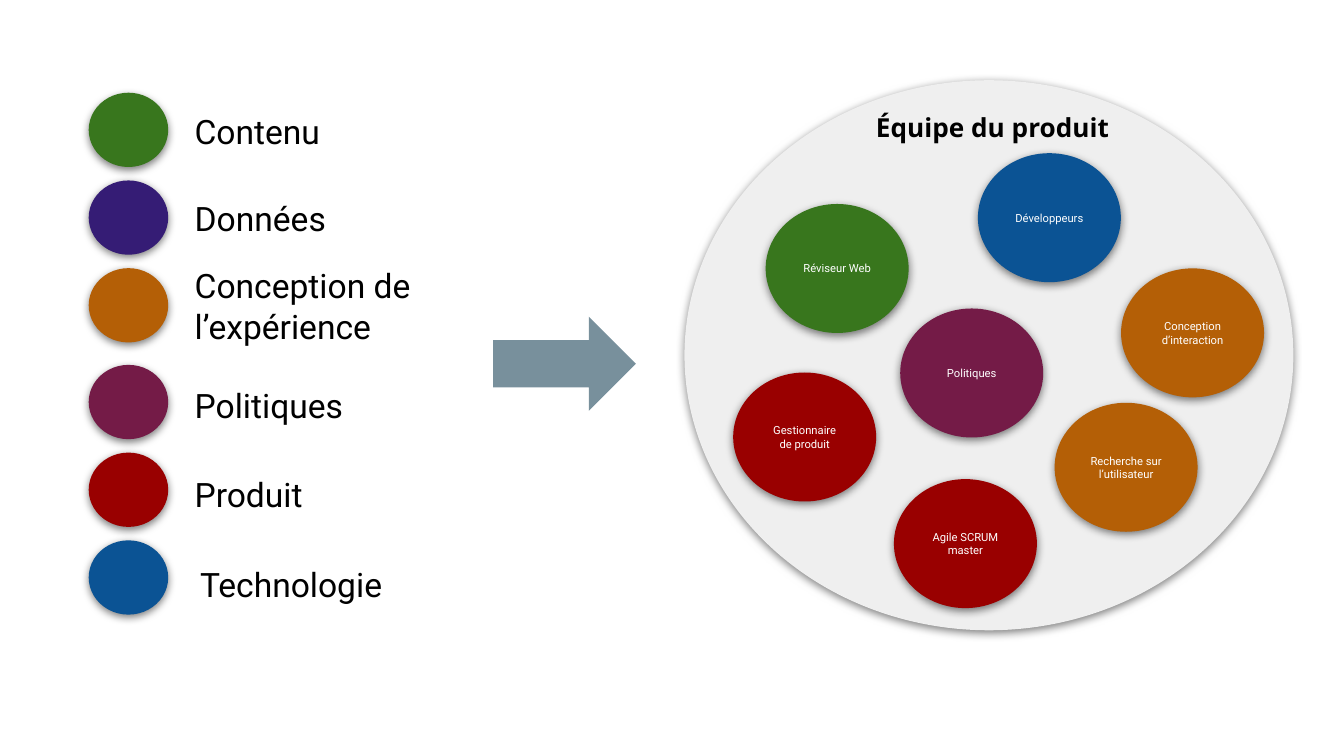
from lxml import etree
from pptx import Presentation
from pptx.dml.color import RGBColor
from pptx.enum import shapes, text
from pptx.oxml.ns import qn
from pptx.util import Pt

COLOURS = {
    "content": "38761D", "data": "351C75", "design": "B45F06",
    "policy": "741B47", "product": "990000", "technology": "0B5394",
    "team": "EFEFEF", "arrow": "78909C", "black": "000000", "white": "FFFFFF",
}

# Legend: label, colour, label left, label width, label top
LEGEND = [
    ("Contenu", "content", 97.2, 91.4, 55.4),
    ("Données", "data", 97.2, 104.4, 102.2),
    ("Conception de l’expérience", "design", 97.2, 198, 149),
    ("Politiques", "policy", 97.2, 104.4, 202.3),
    ("Produit", "product", 97.2, 91.4, 249.8),
    ("Technologie", "technology", 100.1, 122.4, 298.1),
]
DOT_LEFT, DOT_TOP, DOT_WIDTH, DOT_HEIGHT = 47.5, 49.7, 42.6, 39.8
DOT_PITCH, TWO_LINE_EXTRA = 47, 4.8
LABEL_HEIGHT = 29.5

# Team members: role, colour, left, top
MEMBERS = [
    ("Recherche sur l’utilisateur", "design", 565, 215.8),
    ("Conception d’interaction", "design", 600.6, 143.8),
    ("Réviseur Web", "content", 410.2, 109.3),
    ("Gestionnaire de produit", "product", 392.8, 199.6),
    ("Agile SCRUM master", "product", 478.9, 256.7),
    ("Développeurs", "technology", 523.9, 82.1),
    ("Politiques", "policy", 482.3, 165.3),
]
MEMBER_WIDTH, MEMBER_HEIGHT = 76.6, 69.1


def colour(name):
    return RGBColor.from_string(COLOURS[name])


def write(box, words, size, font="Roboto", ink="black", bold=False,
          align=text.PP_ALIGN.LEFT, anchor=text.MSO_ANCHOR.MIDDLE):
    frame = box.text_frame
    frame.word_wrap = True
    frame.vertical_anchor = anchor
    frame.margin_left = frame.margin_right = Pt(7.2)
    frame.margin_top = frame.margin_bottom = Pt(7.2)
    para = frame.paragraphs[0]
    para.alignment = align
    span = para.add_run()
    span.text = words
    span.font.size, span.font.name, span.font.bold = Pt(size), font, bold
    span.font.color.rgb = colour(ink)


def add_shape(kind, fill, *bounds):
    shape = page.shapes.add_shape(kind, *map(Pt, bounds))
    shape.shadow.inherit = False
    shape.fill.solid()
    shape.fill.fore_color.rgb = colour(fill)
    shape.line.fill.background()
    return shape


def add_ellipse(fill, *bounds):
    """Draw an ellipse with a soft shadow below it."""
    ellipse = add_shape(shapes.MSO_SHAPE.OVAL, fill, *bounds)
    effects = ellipse._element.spPr.find(qn("a:effectLst"))
    shadow = etree.SubElement(
        effects, qn("a:outerShdw"), blurRad=str(Pt(4.5)), dist=str(Pt(1.5)),
        dir="5400000", algn="bl", rotWithShape="0")
    tint = etree.SubElement(shadow, qn("a:srgbClr"), val=COLOURS["black"])
    etree.SubElement(tint, qn("a:alpha"), val="50000")
    return ellipse


def add_text(words, bounds, **style):
    box = page.shapes.add_textbox(*map(Pt, bounds))
    write(box, words, **style)


deck = Presentation()
deck.slide_width, deck.slide_height = Pt(720), Pt(405)
page = deck.slides.add_slide(deck.slide_layouts[6])

# Product team
add_ellipse("team", 366.7, 43, 326.2, 294.7)
for role, fill, left, top in MEMBERS:
    member = add_ellipse(fill, left, top, MEMBER_WIDTH, MEMBER_HEIGHT)
    write(member, role, size=6, ink="white", align=text.PP_ALIGN.CENTER)
add_text("Équipe du produit", (460.1, 52.6, 143.3, 33.1), size=14,
         font="Open Sans", bold=True, align=text.PP_ALIGN.CENTER,
         anchor=text.MSO_ANCHOR.TOP)

# Legend, with more room after the two-line label
for row, (label, fill, left, width, top) in enumerate(LEGEND):
    dot_top = DOT_TOP + row * DOT_PITCH + (TWO_LINE_EXTRA if row > 2 else 0)
    add_ellipse(fill, DOT_LEFT, dot_top, DOT_WIDTH, DOT_HEIGHT)
    add_text(label, (left, top, width, LABEL_HEIGHT), size=18)

# Arrow from the legend to the team
add_shape(shapes.MSO_SHAPE.RIGHT_ARROW, "arrow", 264.2, 169.7, 76.5, 50.4)

deck.save("out.pptx")
